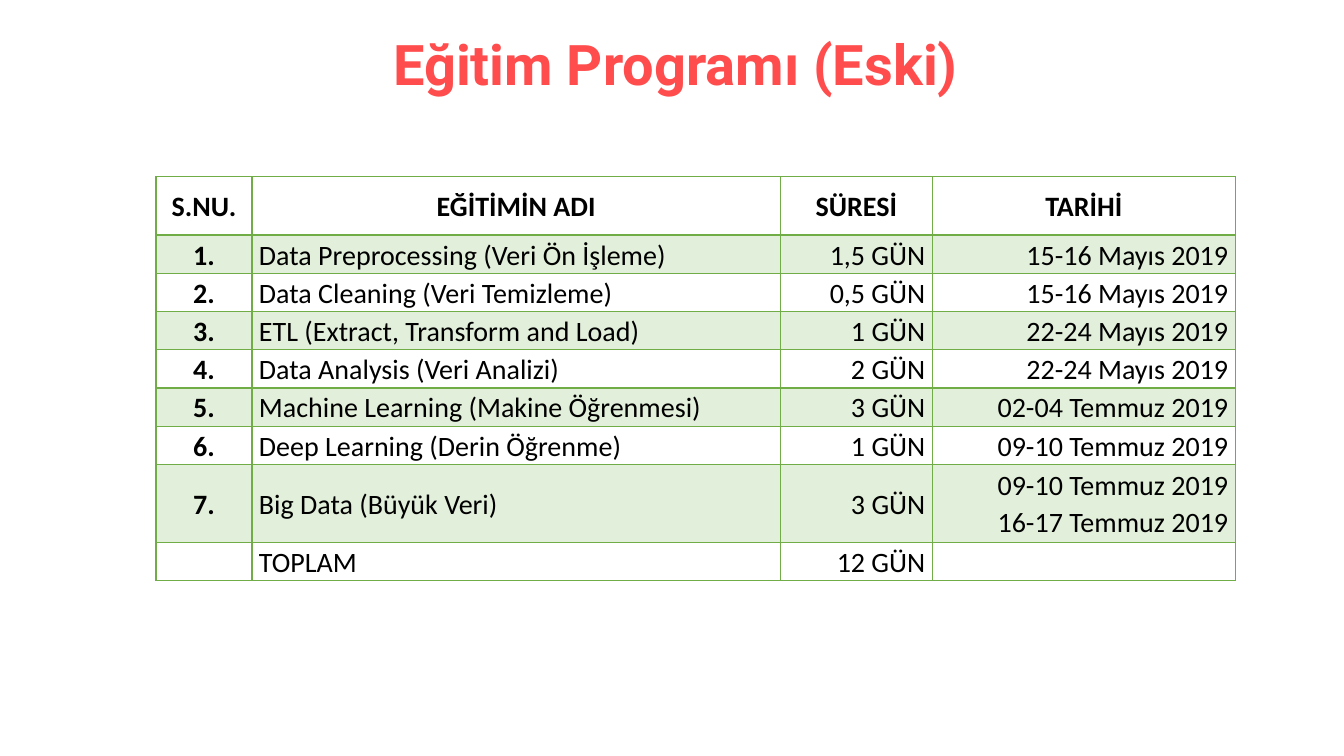
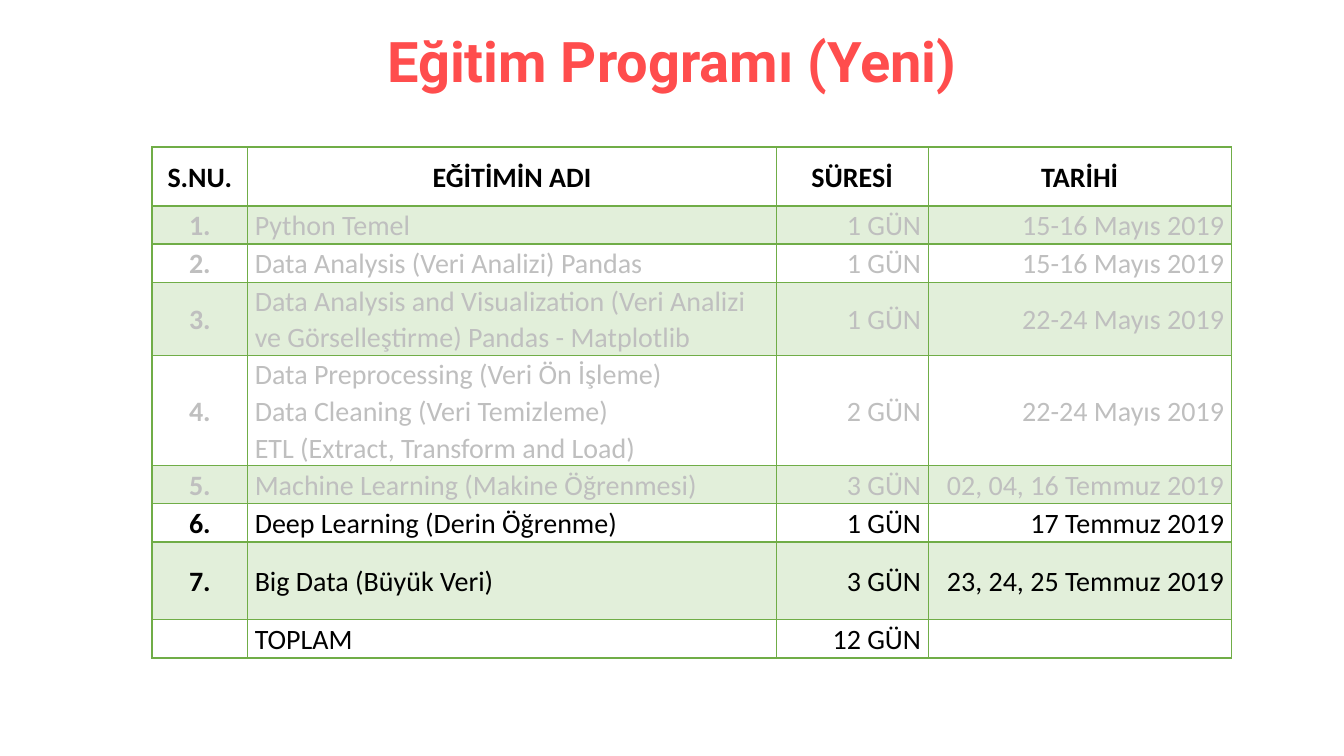
from dataclasses import dataclass

from lxml.etree import SubElement
from pptx import Presentation
from pptx.dml.color import RGBColor
from pptx.enum.text import MSO_ANCHOR, MSO_AUTO_SIZE, PP_ALIGN
from pptx.oxml.ns import qn
from pptx.util import Pt


@dataclass(frozen=True)
class Theme:
    title: str = "FF4D4D"
    text: str = "000000"
    muted: str = "BFBFBF"
    line: str = "70AD47"
    band: str = "E2EFDA"
    plain: str = "FFFFFF"
    title_font: str = "Roboto"
    body_font: str = "Calibri"
    title_size: int = 40
    body_size: int = 20


T = Theme()

# Table layout, in points
COLS = [68.5, 377.5, 108.5, 216.5]
HEAD_H, ROW_H, TALL_H = 42, 27.3, 55.5
SIDE_INSET = 5
ALIGNS = [PP_ALIGN.CENTER, PP_ALIGN.LEFT, PP_ALIGN.RIGHT, PP_ALIGN.RIGHT]

HEADER = ["S.NU.", "EĞİTİMİN ADI", "SÜRESİ", "TARİHİ"]
TOTAL = ["", "TOPLAM", "12 GÜN", ""]

# Each course: name, duration, date, row height
OLD_COURSES = [
    ("Data Preprocessing (Veri Ön İşleme)", "1,5 GÜN", "15-16 Mayıs 2019", ROW_H),
    ("Data Cleaning (Veri Temizleme)", "0,5 GÜN", "15-16 Mayıs 2019", ROW_H),
    ("ETL (Extract, Transform and Load)", "1 GÜN", "22-24 Mayıs 2019", ROW_H),
    ("Data Analysis (Veri Analizi)", "2 GÜN", "22-24 Mayıs 2019", ROW_H),
    ("Machine Learning (Makine Öğrenmesi)", "3 GÜN", "02-04 Temmuz 2019", ROW_H),
    ("Deep Learning (Derin Öğrenme)", "1 GÜN", "09-10 Temmuz 2019", ROW_H),
    ("Big Data (Büyük Veri)", "3 GÜN", "09-10 Temmuz 2019\n16-17 Temmuz 2019", TALL_H),
]
NEW_COURSES = [
    ("Python Temel", "1 GÜN", "15-16 Mayıs 2019", ROW_H),
    ("Data Analysis (Veri Analizi) Pandas", "1 GÜN", "15-16 Mayıs 2019", ROW_H),
    ("Data Analysis and Visualization (Veri Analizi ve Görselleştirme) Pandas - Matplotlib",
     "1 GÜN", "22-24 Mayıs 2019", 52.2),
    ("Data Preprocessing (Veri Ön İşleme)\nData Cleaning (Veri Temizleme)\n"
     "ETL (Extract, Transform and Load)", "2 GÜN", "22-24 Mayıs 2019", 78.4),
    ("Machine Learning (Makine Öğrenmesi)", "3 GÜN", "02, 04, 16 Temmuz 2019", ROW_H),
    ("Deep Learning (Derin Öğrenme)", "1 GÜN", "17 Temmuz 2019", ROW_H),
    ("Big Data (Büyük Veri)", "3 GÜN", "23, 24, 25 Temmuz 2019", TALL_H),
]


def style_text(tf, font, size, color, bold, align, spacing):
    for p in tf.paragraphs:
        p.alignment, p.line_spacing = align, spacing
        for r in p.runs:
            r.font.name, r.font.size, r.font.bold = font, Pt(size), bold
            r.font.color.rgb = RGBColor.from_string(color)


def add_title(s, text, left, top, width):
    sp = s.shapes.title
    sp.left, sp.top, sp.width, sp.height = Pt(left), Pt(top), Pt(width), Pt(49)
    tf = sp.text_frame
    tf.text = text
    tf.word_wrap, tf.auto_size = True, MSO_AUTO_SIZE.NONE
    tf.vertical_anchor = MSO_ANCHOR.BOTTOM
    style_text(tf, T.title_font, T.title_size, T.title, True, PP_ALIGN.CENTER, 0.9)


def set_borders(cell, bottom):
    """Outline a cell; must run before its fill is set."""
    tcPr = cell._tc.get_or_add_tcPr()
    for tag, width in (("lnL", 1), ("lnR", 1), ("lnT", 1), ("lnB", bottom)):
        ln = SubElement(tcPr, qn(f"a:{tag}"), w=str(Pt(width)))
        fill = SubElement(ln, qn("a:solidFill"))
        SubElement(fill, qn("a:srgbClr"), val=T.line)


def fill_cell(cell, text, align, color, bold, back, bottom):
    cell.margin_left = cell.margin_right = Pt(SIDE_INSET)
    cell.margin_top = cell.margin_bottom = 0
    cell.vertical_anchor = MSO_ANCHOR.MIDDLE
    set_borders(cell, bottom)
    cell.fill.solid()
    cell.fill.fore_color.rgb = RGBColor.from_string(back)
    cell.text_frame.text = text
    style_text(cell.text_frame, T.body_font, T.body_size, color, bold, align, 1.07)


def add_schedule(s, left, top, courses, muted_rows=0):
    rows = [HEADER]
    rows += [[f"{n}.", *course[:3]] for n, course in enumerate(courses, 1)]
    rows.append(TOTAL)
    heights = [HEAD_H, *(course[3] for course in courses), ROW_H]
    table = s.shapes.add_table(len(rows), len(COLS), Pt(left), Pt(top),
                               Pt(sum(COLS)), Pt(sum(heights))).table
    table.first_row = table.horz_banding = False
    for col, width in zip(table.columns, COLS):
        col.width = Pt(width)
    for i, values in enumerate(rows):
        table.rows[i].height = Pt(heights[i])
        head = i == 0
        color = T.muted if 1 <= i <= muted_rows else T.text
        back = T.band if i % 2 else T.plain
        for j, value in enumerate(values):
            align = PP_ALIGN.CENTER if head else ALIGNS[j]
            fill_cell(table.cell(i, j), value, align, color,
                      head or j == 0, back, 2 if head else 1)


def main():
    prs = Presentation()
    prs.slide_width, prs.slide_height = Pt(960), Pt(540)
    layout = prs.slide_layouts[5]

    # Old programme
    s = prs.slides.add_slide(layout)
    add_title(s, "Eğitim Programı (Eski)", 209, 24, 547)
    add_schedule(s, 111.5, 126, OLD_COURSES)

    # New programme, finished courses greyed out
    s = prs.slides.add_slide(layout)
    add_title(s, "Eğitim Programı (Yeni)", 237, 22, 486)
    add_schedule(s, 108.5, 105, NEW_COURSES, muted_rows=5)

    prs.save("out.pptx")


if __name__ == "__main__":
    main()
